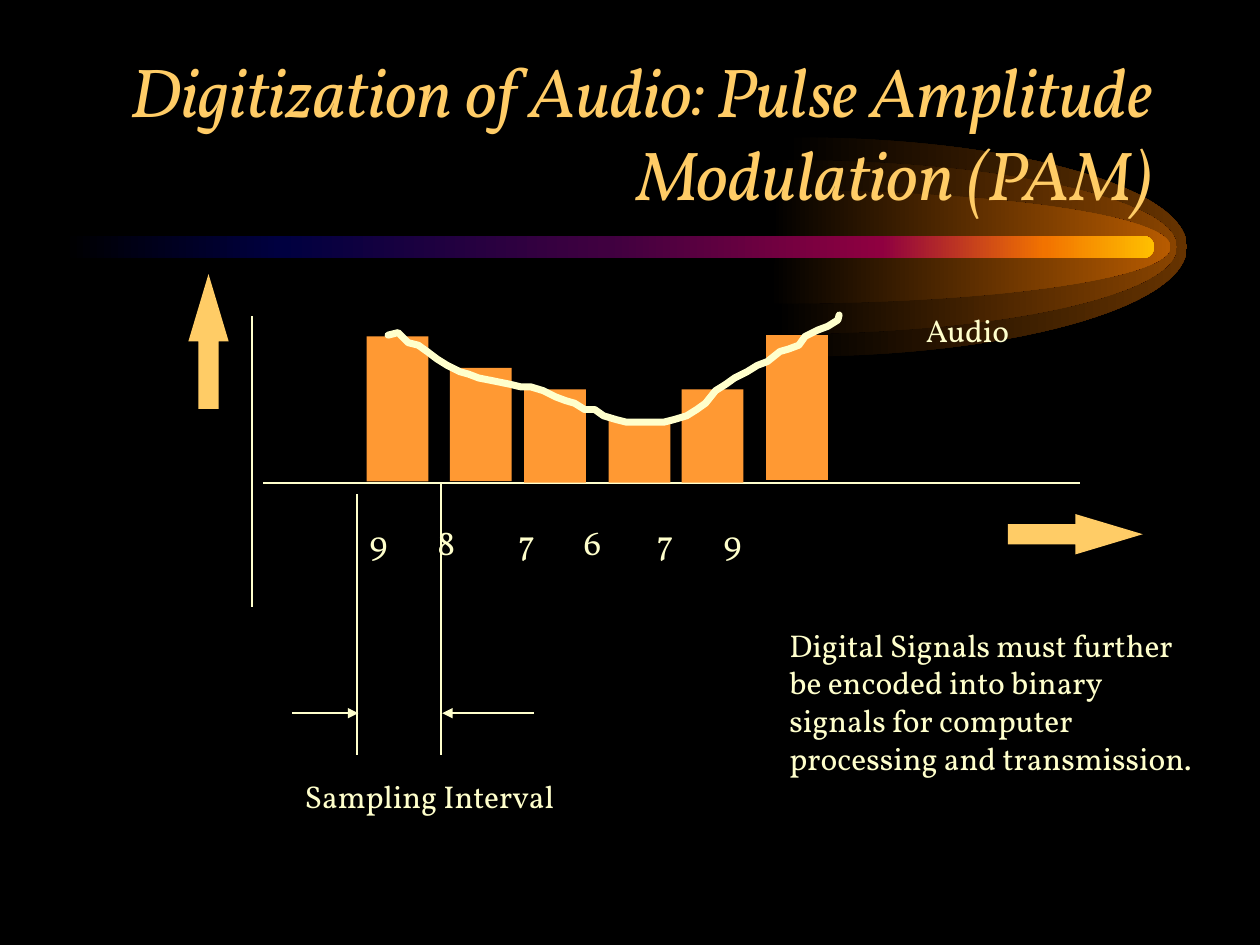
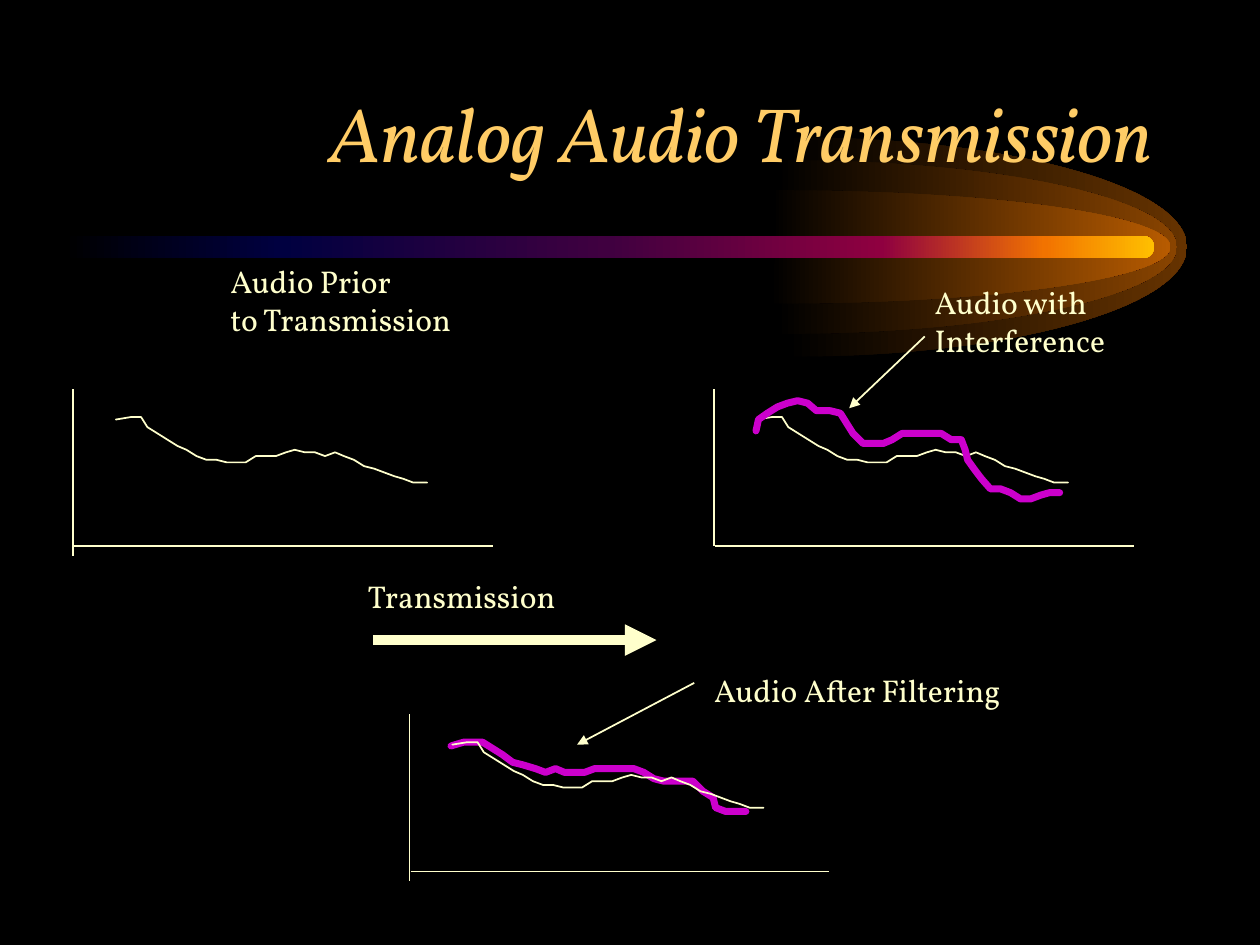
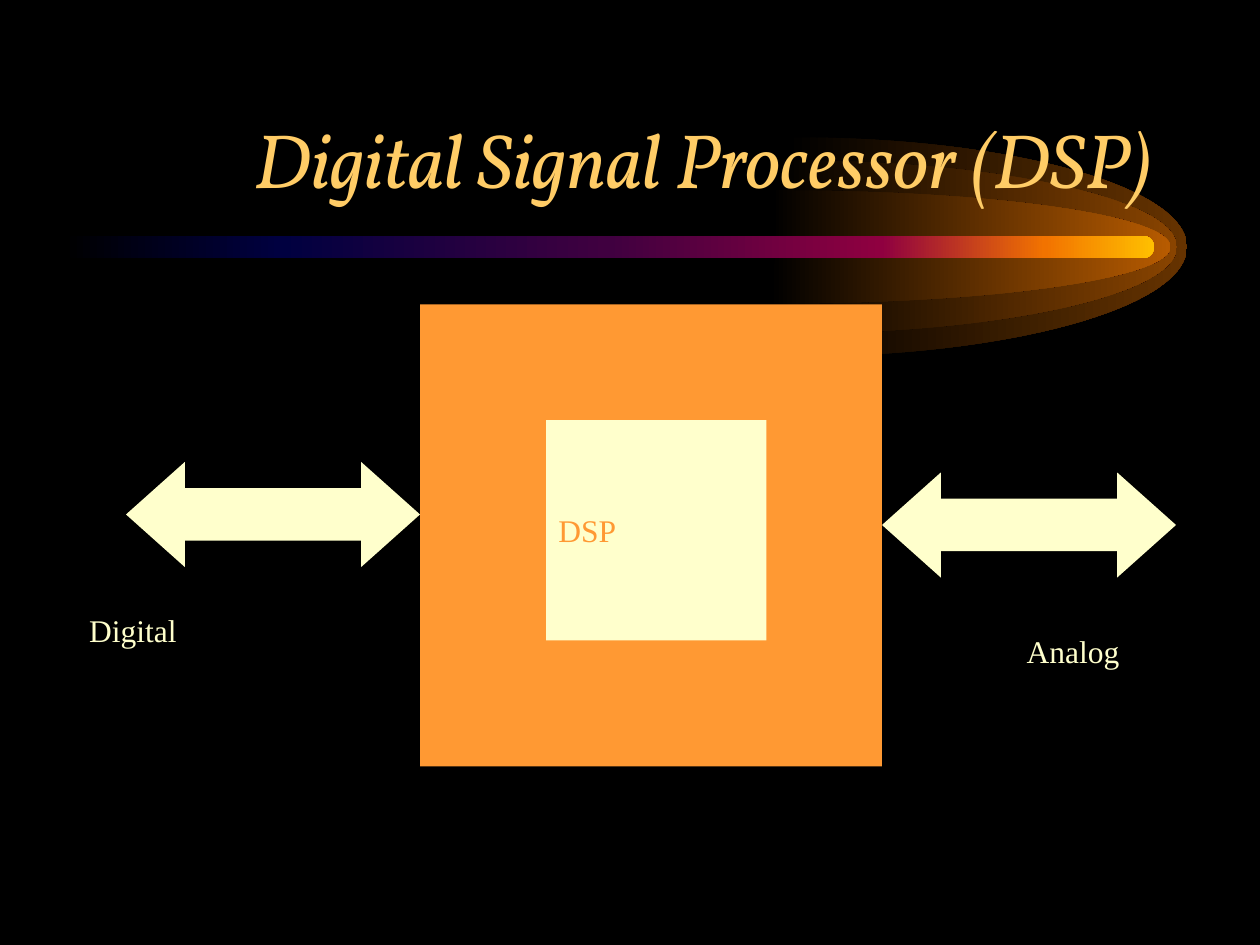
from typing import NamedTuple, Sequence

from lxml import etree
from pptx import Presentation
from pptx.dml.color import RGBColor
from pptx.enum import shapes, text
from pptx.oxml.ns import qn
from pptx.util import Inches, Pt

# Shared look
BLACK = RGBColor(0x00, 0x00, 0x00)
GOLD = RGBColor(0xFF, 0xCC, 0x66)
CREAM = RGBColor(0xFF, 0xFF, 0xCC)
ORANGE = RGBColor(0xFF, 0x99, 0x33)
MAGENTA = RGBColor(0xCC, 0x00, 0xCC)
SERIF = "Vollkorn"
TIMES = "Times New Roman"
SHAPE = shapes.MSO_SHAPE
ANCHOR = text.MSO_ANCHOR

Point = tuple[float, float]


class Glow(NamedTuple):
    center_x: float
    radius_y: float
    color: RGBColor


class Bar(NamedTuple):
    left: float
    top: float
    height: float


class Label(NamedTuple):
    words: str
    left: float
    top: float
    width: float
    height: float = 0.5


class Panel(NamedTuple):
    left: float
    top: float
    bottom: float
    base: float


GLOWS = [
    Glow(6.29, 0.87, RGBColor(0x66, 0x33, 0x00)),
    Glow(6.21, 0.69, RGBColor(0x89, 0x44, 0x00)),
    Glow(6.16, 0.45, RGBColor(0xB7, 0x5B, 0x00)),
]
GLOW_Y, GLOW_RADIUS_X = 1.96, 3.13
ROUNDNESS = 0.55  # control point distance for a quarter ellipse
TRAIL_STOPS = [
    (0, BLACK),
    (20, RGBColor(0x00, 0x00, 0x40)),
    (50, RGBColor(0x40, 0x00, 0x40)),
    (75, RGBColor(0x8F, 0x00, 0x40)),
    (90, RGBColor(0xF2, 0x73, 0x00)),
    (100, RGBColor(0xFF, 0xBF, 0x00)),
]

# Slide 1 data
BASELINE, BAR_WIDTH = 3 + 5 / 6, 0.49
BARS = [Bar(2.91, 2.67, 1.15), Bar(3.57, 2.92, 0.9), Bar(4.16, 3.09, 0.74),
        Bar(4.83, 3.34, 0.49), Bar(5.41, 3.09, 0.74), Bar(6.08, 2.66, 1.15)]
SAMPLE_TABS = [0.54, 1.18, 1.7, 2.28, 2.81]
AUDIO = [
    (3.08, 2.66), (3.16, 2.64), (3.24, 2.72), (3.32, 2.74), (3.39, 2.79),
    (3.47, 2.85), (3.55, 2.9), (3.65, 2.95), (3.72, 2.97), (3.8, 3),
    (3.9, 3.02), (4.05, 3.05), (4.13, 3.07), (4.21, 3.07), (4.31, 3.1),
    (4.41, 3.15), (4.49, 3.18), (4.56, 3.2), (4.64, 3.25), (4.72, 3.25),
    (4.79, 3.3), (4.89, 3.33), (4.97, 3.35), (5.27, 3.35), (5.35, 3.33),
    (5.45, 3.3), (5.53, 3.25), (5.6, 3.2), (5.68, 3.1), (5.76, 3.05),
    (5.83, 3), (5.93, 2.95), (6.01, 2.9), (6.09, 2.87), (6.19, 2.79),
    (6.26, 2.77), (6.34, 2.74), (6.39, 2.67), (6.49, 2.62), (6.57, 2.59),
    (6.65, 2.54), (6.66, 2.5),
]

# Slide 2 data
PANELS = [Panel(0.58, 3.09, 4.41, 4 + 1 / 3),
          Panel(5 + 2 / 3, 3.09, 4 + 1 / 3, 4 + 1 / 3),
          Panel(3.25, 5.67, 6.99, 6 + 11 / 12)]
SIGNAL = [  # measured from the top of a panel's vertical axis
    (0.34, 0.24), (0.46, 0.22), (0.54, 0.22), (0.59, 0.3), (0.67, 0.35),
    (0.75, 0.4), (0.83, 0.45), (0.9, 0.48), (0.98, 0.53), (1.06, 0.56),
    (1.14, 0.56), (1.22, 0.58), (1.37, 0.58), (1.45, 0.53), (1.61, 0.53),
    (1.69, 0.5), (1.76, 0.48), (1.84, 0.5), (1.92, 0.5), (2, 0.53),
    (2.08, 0.5), (2.15, 0.53), (2.23, 0.56), (2.31, 0.61), (2.39, 0.63),
    (2.47, 0.66), (2.55, 0.69), (2.62, 0.71), (2.7, 0.74), (2.81, 0.74),
]
INTERFERENCE = [
    (6, 3.42), (6.02, 3.33), (6.09, 3.28), (6.17, 3.23), (6.25, 3.2),
    (6.33, 3.18), (6.41, 3.2), (6.48, 3.26), (6.59, 3.26), (6.67, 3.28),
    (6.72, 3.36), (6.77, 3.44), (6.85, 3.52), (7.01, 3.52), (7.08, 3.49),
    (7.16, 3.44), (7.47, 3.44), (7.55, 3.49), (7.63, 3.49), (7.66, 3.57),
    (7.68, 3.65), (7.73, 3.72), (7.79, 3.8), (7.86, 3.88), (7.94, 3.88),
    (8.02, 3.91), (8.1, 3.96), (8.18, 3.96), (8.26, 3.93), (8.33, 3.91),
    (8.41, 3.91),
]
FILTERED = [
    (3.58, 5.92), (3.68, 5.89), (3.83, 5.89), (3.91, 5.94), (3.99, 5.99),
    (4.07, 6.05), (4.15, 6.07), (4.25, 6.1), (4.33, 6.13), (4.41, 6.1),
    (4.48, 6.13), (4.64, 6.13), (4.72, 6.1), (5.03, 6.1), (5.11, 6.13),
    (5.19, 6.18), (5.27, 6.2), (5.5, 6.2), (5.58, 6.28), (5.66, 6.33),
    (5.68, 6.41), (5.76, 6.44), (5.92, 6.44),
]


# Drawing helpers
def write(tf, words: str, *, size: float = 18, font: str = SERIF,
          color: RGBColor = CREAM, italic: bool = False,
          align=text.PP_ALIGN.LEFT, anchor=ANCHOR.TOP,
          tabs: Sequence[float] = ()) -> None:
    tf.word_wrap = True
    tf.auto_size = text.MSO_AUTO_SIZE.NONE
    tf.vertical_anchor = anchor
    tf.text = words
    for p in tf.paragraphs:
        if tabs:
            tab_list = etree.SubElement(p._p.get_or_add_pPr(), qn("a:tabLst"))
            for pos in tabs:
                etree.SubElement(tab_list, qn("a:tab"), pos=str(Inches(pos)), algn="l")
        p.alignment = align
        for r in p.runs:
            r.font.size = Pt(size)
            r.font.name = font
            r.font.italic = italic
            r.font.color.rgb = color


def add_label(slide, label: Label, **style) -> None:
    box = slide.shapes.add_textbox(Inches(label.left), Inches(label.top),
                                   Inches(label.width), Inches(label.height))
    write(box.text_frame, label.words, **style)


def add_block(slide, kind, left: float, top: float, width: float, height: float,
              color: RGBColor, adjustments: Sequence[float] = ()):
    sp = slide.shapes.add_shape(kind, Inches(left), Inches(top),
                                Inches(width), Inches(height))
    for i, value in enumerate(adjustments):
        sp.adjustments[i] = value
    sp.shadow.inherit = False
    sp.fill.solid()
    sp.fill.fore_color.rgb = color
    sp.line.fill.background()
    return sp


def add_line(slide, start: Point, end: Point, width: float = 1,
             arrow: bool = False) -> None:
    line = slide.shapes.add_connector(shapes.MSO_CONNECTOR.STRAIGHT,
                                      *map(Inches, start + end))
    line.line.color.rgb = CREAM
    line.line.width = Pt(width)
    props = line._element.spPr
    if arrow:
        etree.SubElement(props.find(qn("a:ln")), qn("a:tailEnd"), type="triangle")
    etree.SubElement(props, qn("a:effectLst"))


def add_outline(slide, points: Sequence[Point], close: bool = False):
    first, *rest = [(Inches(x), Inches(y)) for x, y in points]
    builder = slide.shapes.build_freeform(*first)
    builder.add_line_segments(rest, close=close)
    sp = builder.convert_to_shape()
    sp.shadow.inherit = False
    return sp


def add_curve(slide, points: Sequence[Point], color: RGBColor, width: float) -> None:
    sp = add_outline(slide, points)
    sp.fill.background()
    sp.line.color.rgb = color
    sp.line.width = Pt(width)
    ln = sp._element.spPr.find(qn("a:ln"))
    ln.set("cap", "rnd")
    etree.SubElement(ln, qn("a:round"))


def fill_gradient(sp, stops: Sequence[tuple[int, RGBColor]]) -> None:
    sp.fill.gradient()
    sp.fill.gradient_angle = 0
    stop_list = sp._element.spPr.find(".//" + qn("a:gsLst"))
    for old in list(stop_list):
        stop_list.remove(old)
    for percent, color in stops:
        stop = etree.SubElement(stop_list, qn("a:gs"), pos=str(percent * 1000))
        etree.SubElement(stop, qn("a:srgbClr"), val=str(color))
    sp.line.fill.background()


# Comet band: drawn once, then handed to the master
def add_glow(slide, glow: Glow):
    x, right = glow.center_x, glow.center_x + GLOW_RADIUS_X
    top, bottom = GLOW_Y - glow.radius_y, GLOW_Y + glow.radius_y
    pull_x, pull_y = GLOW_RADIUS_X * ROUNDNESS, glow.radius_y * ROUNDNESS
    sp = add_outline(slide, [
        (x, top),
        (x + pull_x, top), (right, GLOW_Y - pull_y), (right, GLOW_Y),
        (right, GLOW_Y + pull_y), (x + pull_x, bottom), (x, bottom),
        (x - 0.05, bottom), (x, GLOW_Y)], close=True)
    # Each of the first two triples of segments becomes one curve
    outline = sp._element.spPr.find(".//" + qn("a:path"))
    segments = outline.findall(qn("a:lnTo"))
    for triple in (segments[:3], segments[3:6]):
        curve = etree.Element(qn("a:cubicBezTo"))
        triple[0].addprevious(curve)
        for segment in triple:
            curve.append(segment[0])
            outline.remove(segment)
    fill_gradient(sp, [(0, BLACK), (100, glow.color)])
    return sp


def add_comet(slide, master) -> None:
    parts = [add_glow(slide, glow) for glow in GLOWS]
    trail = add_block(slide, SHAPE.ROUNDED_RECTANGLE, 0.5, 1.87, 8.66, 0.18, BLACK, [0.5])
    fill_gradient(trail, TRAIL_STOPS)
    for i, sp in enumerate(parts + [trail]):
        sp._element.nvSpPr.cNvPr.set("id", str(100 + i))
        master.shapes._spTree.insert(2 + i, sp._element)


def add_slide(prs, layout, title: str, size: float = 44, anchor=ANCHOR.MIDDLE):
    slide = prs.slides.add_slide(layout)
    sp = slide.shapes.title
    sp.left, sp.top, sp.width, sp.height = map(Inches, (0.75, 0.42, 8.5, 1.25))
    write(sp.text_frame, title, size=size, color=GOLD, italic=True,
          align=text.PP_ALIGN.RIGHT, anchor=anchor)
    return slide


# Slide 1
def fill_pam(slide) -> None:
    add_line(slide, (2, 2.51), (2, 4.82))
    add_line(slide, (2.09, BASELINE), (8.57, BASELINE))
    for bar in BARS:
        add_block(slide, SHAPE.RECTANGLE, bar.left, bar.top, BAR_WIDTH,
                  bar.height, ORANGE)
    add_curve(slide, AUDIO, CREAM, 4)
    for left, top, rotation in [(1.12, 2.55, 270), (8, 4.08, 0)]:
        arrow = add_block(slide, SHAPE.RIGHT_ARROW, left, top, 1.07, 0.32,
                          GOLD, [0.5, 1.67])
        arrow.rotation = rotation

    # Sampling interval
    for x, top, arrow_from in [(2 + 5 / 6, 3.92, 2.32), (3.5, 3.84, 4.24)]:
        add_line(slide, (x, top), (x, 5.99))
        add_line(slide, (arrow_from, 5.66), (x + 0.01, 5.66), arrow=True)

    add_label(slide, Label("9\t8\t7\t6\t7\t9", 2 + 5 / 6, 4.08, 3.91, 0.43),
              size=20, tabs=SAMPLE_TABS)
    for label in [
        Label("Audio", 7.25, 2.42, 1.33),
        Label("Digital Signals must further be encoded into binary signals "
              "for computer processing and transmission.",
              6 + 1 / 6, 4 + 11 / 12, 3.41, 2.49),
        Label("Sampling Interval", 2.32, 6.12, 2.85),
    ]:
        add_label(slide, label)


# Slide 2
def add_panel(slide, panel: Panel) -> None:
    left, top, bottom, base = panel
    add_line(slide, (left, top), (left, bottom))
    add_line(slide, (left + 0.01, base), (left + 3.33, base))
    add_curve(slide, [(left + x, top + y) for x, y in SIGNAL], CREAM, 1)


def fill_transmission(slide) -> None:
    before, disturbed, after = PANELS
    add_panel(slide, before)
    add_panel(slide, disturbed)
    add_curve(slide, INTERFERENCE, MAGENTA, 4)
    add_curve(slide, FILTERED, MAGENTA, 4)
    add_panel(slide, after)

    add_line(slide, (2.96, 5.08), (5.21, 5.08), width=6, arrow=True)
    add_line(slide, (7.34, 2.67), (6.74, 3.24), arrow=True)
    add_line(slide, (5.51, 5.42), (4.58, 5.91), arrow=True)
    for label in [
        Label("Audio Prior\nto Transmission", 1.73, 2.03, 2.56, 0.9),
        Label("Audio with\nInterference", 7.32, 2.2, 1.97, 0.9),
        Label("Transmission", 2.82, 4.53, 2.18),
        Label("Audio After Filtering", 5.57, 5.28, 3.34),
    ]:
        add_label(slide, label)


# Slide 3
def fill_dsp(slide) -> None:
    board, chip_size = 3 + 2 / 3, 1.75
    add_block(slide, SHAPE.RECTANGLE, 3 + 1 / 3, 2 + 5 / 12, board, board, ORANGE)
    chip = add_block(slide, SHAPE.RECTANGLE, 4 + 1 / 3, 3 + 1 / 3,
                     chip_size, chip_size, CREAM)
    write(chip.text_frame, "DSP", font=TIMES, color=ORANGE, anchor=ANCHOR.MIDDLE)
    for left, top in [(1, 3 + 2 / 3), (7, 3.75)]:
        add_block(slide, SHAPE.LEFT_RIGHT_ARROW, left, top, 2 + 1 / 3, 5 / 6,
                  CREAM, [0.5, 0.56])
    for label in [Label("Digital", 0.61, 4.75, 1.12), Label("Analog", 8.05, 4.92, 1.18)]:
        add_label(slide, label, font=TIMES, anchor=ANCHOR.MIDDLE)


def main() -> None:
    prs = Presentation()
    prs.slide_width, prs.slide_height = Inches(10), Inches(7.5)
    background = prs.slide_master.background.fill
    background.solid()
    background.fore_color.rgb = BLACK
    layout = prs.slide_layouts.get_by_name("Title Only")

    pam = add_slide(prs, layout,
                    "Digitization of Audio: Pulse Amplitude Modulation (PAM)", size=39.6)
    add_comet(pam, prs.slide_master)
    fill_pam(pam)
    fill_transmission(add_slide(prs, layout, "Analog Audio Transmission"))
    fill_dsp(add_slide(prs, layout, "Digital Signal Processor (DSP)",
                       anchor=ANCHOR.BOTTOM))
    prs.save("out.pptx")


if __name__ == "__main__":
    main()
